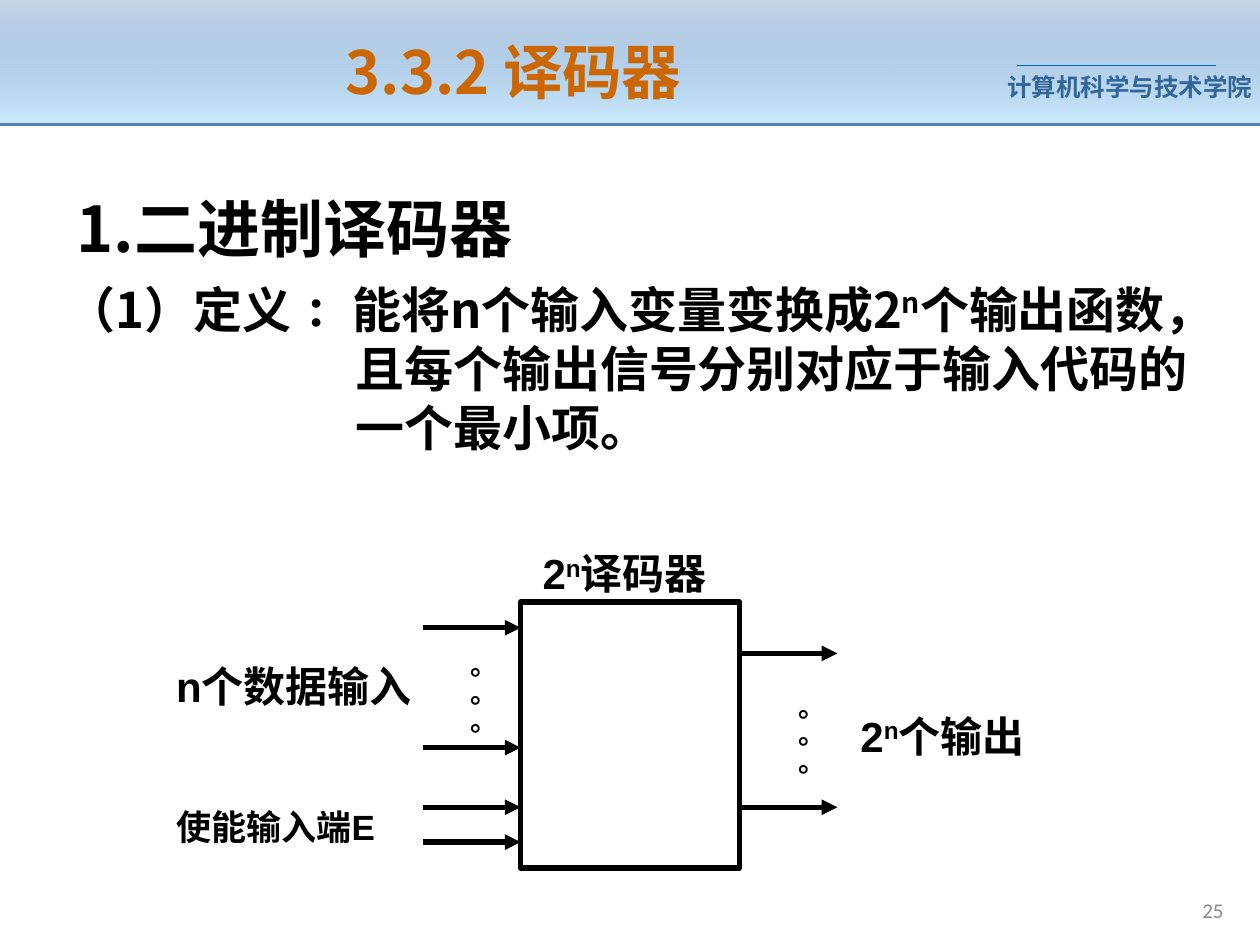
from dataclasses import dataclass

import pptx
import pptx.dml.color
import pptx.enum.dml
import pptx.enum.shapes
import pptx.enum.text
import pptx.oxml.ns
import pptx.oxml.xmlchemy
import pptx.util
from lxml import etree

Pt = pptx.util.Pt
ALIGN = pptx.enum.text.PP_ALIGN
ANCHOR = pptx.enum.text.MSO_ANCHOR
qn = pptx.oxml.ns.qn
CJK = "Noto Sans CJK SC"


@dataclass
class Part:
    """A stretch of text with its own font or a raised baseline."""
    text: str
    font: str = ""
    raised: bool = False


@dataclass
class Arrow:
    left: float
    y: float
    length: float = 56


@dataclass
class Label:
    content: str | list[Part]
    box: tuple[float, float, float, float]
    size: float = 24


def rgb(value: str) -> pptx.dml.color.RGBColor:
    return pptx.dml.color.RGBColor.from_string(value)


def add_text(shapes, content: str | list[Part], box: tuple, *, size: float,
             font: str = "Arial", color: str = "000000", bold: bool = True,
             align=ALIGN.LEFT, anchor=ANCHOR.TOP, insets: tuple = (7.2, 3.6),
             grow: bool = True, hanging: float = 0, vertical: bool = False):
    text_box = shapes.add_textbox(*map(Pt, box))
    frame = text_box.text_frame
    frame.word_wrap = True
    frame.vertical_anchor = anchor
    frame.auto_size = (pptx.enum.text.MSO_AUTO_SIZE.SHAPE_TO_FIT_TEXT if grow
                       else pptx.enum.text.MSO_AUTO_SIZE.NONE)
    frame.margin_left = frame.margin_right = Pt(insets[0])
    frame.margin_top = frame.margin_bottom = Pt(insets[1])
    if vertical:
        text_box.element.find(".//" + qn("a:bodyPr")).set("vert", "eaVert")

    paragraph = frame.paragraphs[0]
    paragraph.alignment = align
    if hanging:
        properties = paragraph._p.get_or_add_pPr()
        properties.set("marL", str(Pt(hanging)))
        properties.set("indent", str(-Pt(hanging)))
    for part in [Part(content)] if isinstance(content, str) else content:
        run = paragraph.add_run()
        run.text = part.text
        run.font.name = part.font or font
        run.font.size = Pt(size)
        run.font.bold = bold
        run.font.color.rgb = rgb(color)
        run_properties = run._r.get_or_add_rPr()
        east_asian = etree.SubElement(run_properties, qn("a:ea"))
        east_asian.set("typeface", part.font or CJK)
        if part.raised:
            run_properties.set("baseline", "30000")
    return text_box


def add_line(shapes, start: tuple, end: tuple, color: str, width: float,
             arrowhead: bool = False) -> None:
    line = shapes.add_connector(pptx.enum.shapes.MSO_CONNECTOR.STRAIGHT,
                                *map(Pt, start + end))
    line.line.color.rgb = rgb(color)
    line.line.width = Pt(width)
    if arrowhead:
        outline = line.element.spPr.find(qn("a:ln"))
        etree.SubElement(outline, qn("a:tailEnd")).set("type", "triangle")
    etree.SubElement(line.element.spPr, qn("a:effectLst"))


def add_rectangle(shapes, box: tuple):
    rectangle = shapes.add_shape(pptx.enum.shapes.MSO_SHAPE.RECTANGLE, *map(Pt, box))
    rectangle.shadow.inherit = False
    return rectangle


def draw_header(shapes) -> None:
    # Gradient band, translucent at the top
    band = add_rectangle(shapes, (0, 0, 720, 71.3))
    band.line.fill.background()
    band.fill.gradient()
    band.fill.gradient_angle = 270
    for stop, color, position in zip(band.fill.gradient_stops, ("4F81BD", "CCECFF"), (0, 1)):
        stop.color.rgb = rgb(color)
        stop.position = position
    top_color = band.element.find(".//" + qn("a:gs")).find(qn("a:srgbClr"))
    etree.SubElement(top_color, qn("a:alpha")).set("val", "32000")

    # College name and rules
    add_text(shapes, "计算机科学与技术学院", (575.5, 37.5, 142, 24.5), size=14,
             color="336699", insets=(0, 3.6))
    add_line(shapes, (581, 37.4), (695, 37.4), "0066CC", 0.75)
    add_line(shapes, (0, 71.3), (720, 71.3), "4F81BD", 1.5)


def draw_decoder(shapes) -> None:
    # Decoder block
    left, right = 297.5, 422.5
    decoder = add_rectangle(shapes, (left, 344, right - left, 152))
    decoder.fill.background()
    decoder.line.color.rgb = rgb("000000")
    decoder.line.width = Pt(3)

    # Inputs end on the block, outputs start from it
    inputs = [Arrow(left - 56, y) for y in (358.7, 427.2, 461.3, 481.2)]
    outputs = [Arrow(right, y) for y in (373.4, 461.3)]
    for arrow in inputs + outputs:
        add_line(shapes, (arrow.left, arrow.y), (arrow.left + arrow.length, arrow.y),
                 "000000", 3, arrowhead=True)

    # Omitted signals
    for x, y in ((247, 373.7), (434.3, 397.6)):
        add_text(shapes, "。。。", (x, y, 33, 59), size=16, insets=(3.6, 7.2), vertical=True)

    # Signal names
    power = [Part("2"), Part("n", raised=True)]
    labels = [
        Label(power + [Part("译码器")], (303, 309.6, 124.6, 36)),
        Label(power + [Part("个输出")], (484.6, 402.5, 181.4, 36)),
        Label("n个数据输入", (93.6, 373.7, 164, 36)),
        Label("使能输入端E", (93.6, 456.5, 142, 31.7), size=20),
    ]
    for label in labels:
        add_text(shapes, label.content, label.box, size=label.size)


def main() -> None:
    deck = pptx.Presentation()
    deck.slide_width, deck.slide_height = Pt(720), Pt(540)
    shapes = deck.slides.add_slide(deck.slide_layouts[6]).shapes

    draw_header(shapes)
    add_text(shapes, "25", (547, 508.3, 159.3, 23), size=12, font="Calibri",
             color="898989", bold=False, align=ALIGN.RIGHT, anchor=ANCHOR.MIDDLE, grow=False)

    # Definition
    add_text(shapes, "1.二进制译码器", (36.7, 105, 606, 50.4), size=36, font=CJK)
    definition = [
        Part("（1）定义"),
        Part(" ：", font="Times New Roman"),
        Part("能将n个输入变量变换成2"),
        Part("n", raised=True),
        Part("个输出函数，且每个输出信号分别对应于输入代码的一个最小项。"),
    ]
    add_text(shapes, definition, (31, 156.2, 666, 108), size=28, font=CJK, hanging=165)

    draw_decoder(shapes.add_group_shape().shapes)

    # Slide title
    add_text(shapes, "3.3.2 译码器 ", (36.7, 15, 521.3, 50.4), size=34, font=CJK,
             color="CC6600", align=ALIGN.CENTER, anchor=ANCHOR.MIDDLE, grow=False)
    deck.save("out.pptx")


if __name__ == "__main__":
    main()
